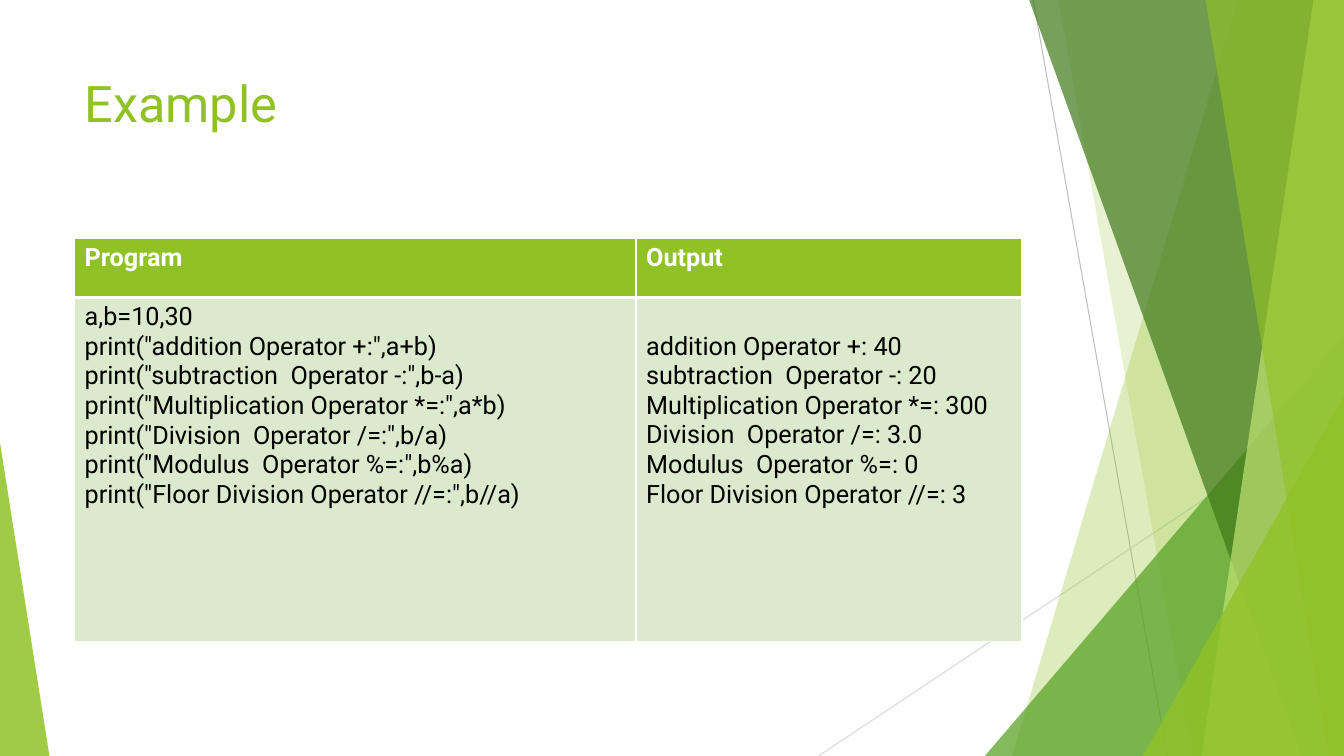
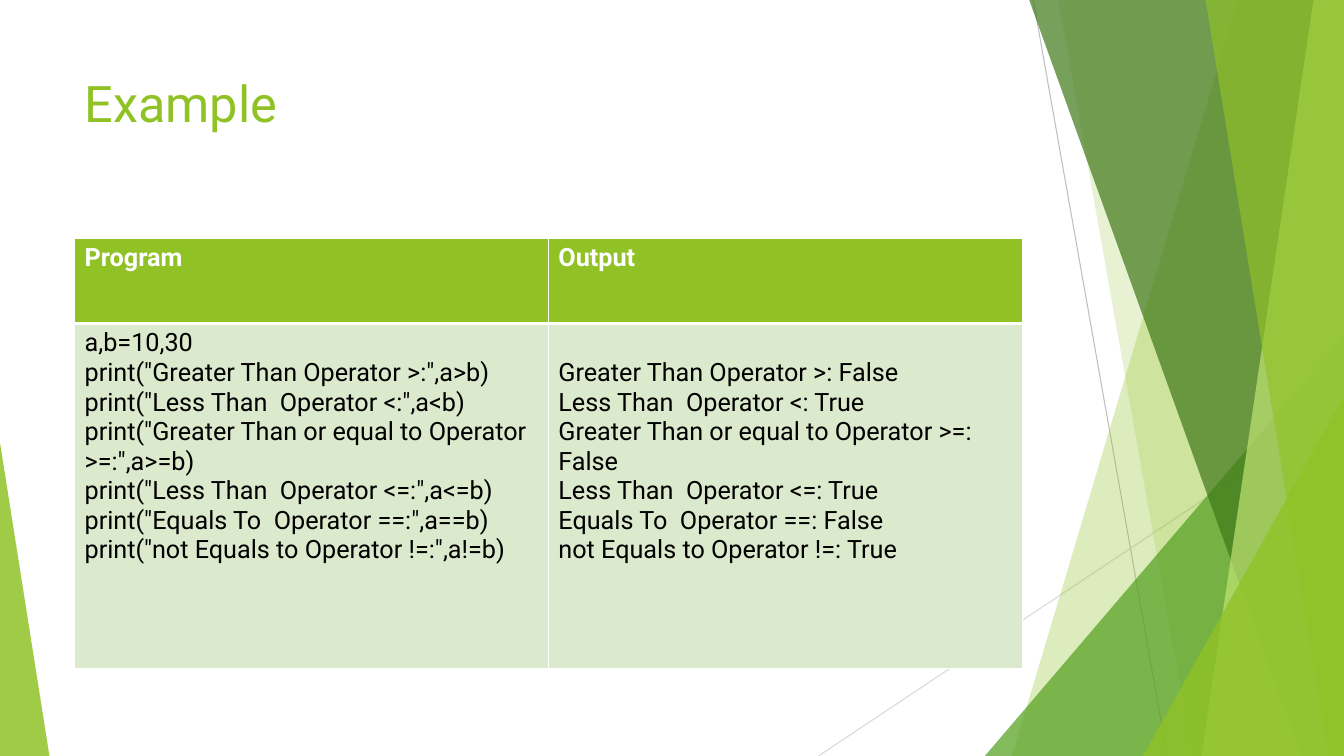
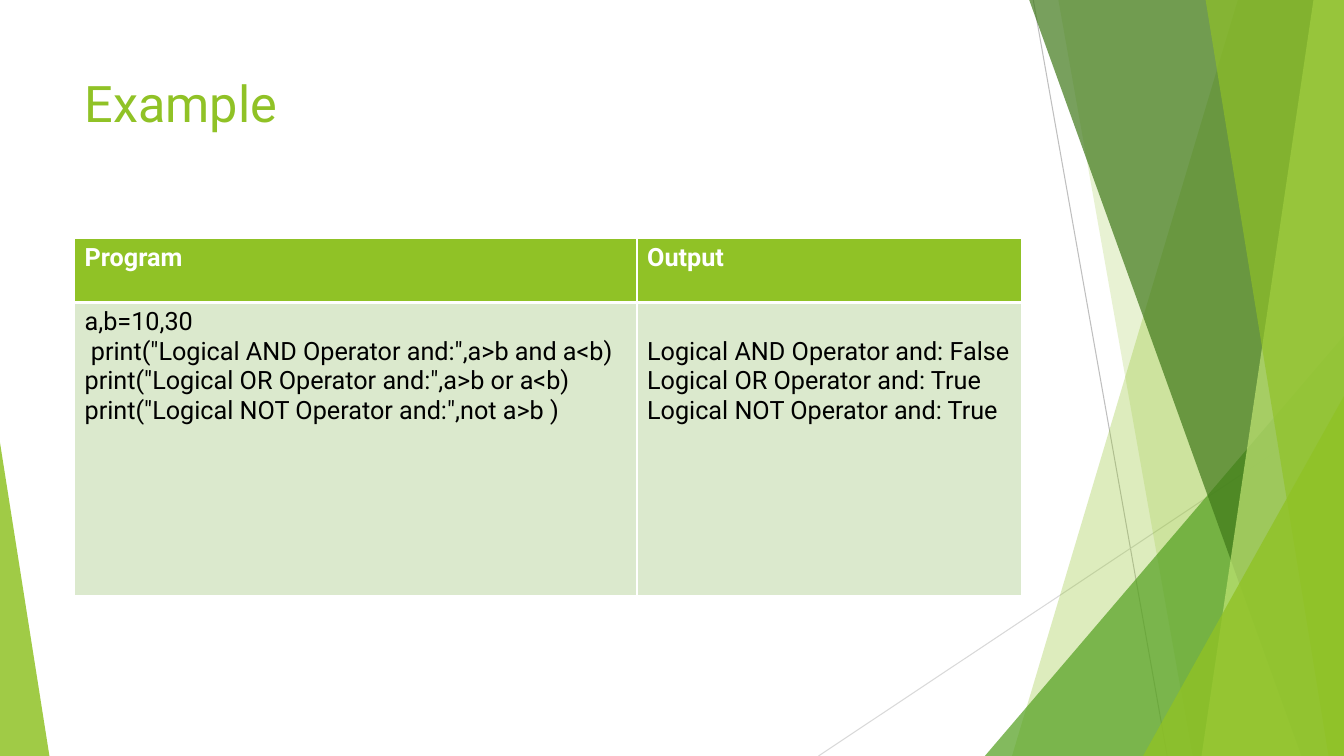
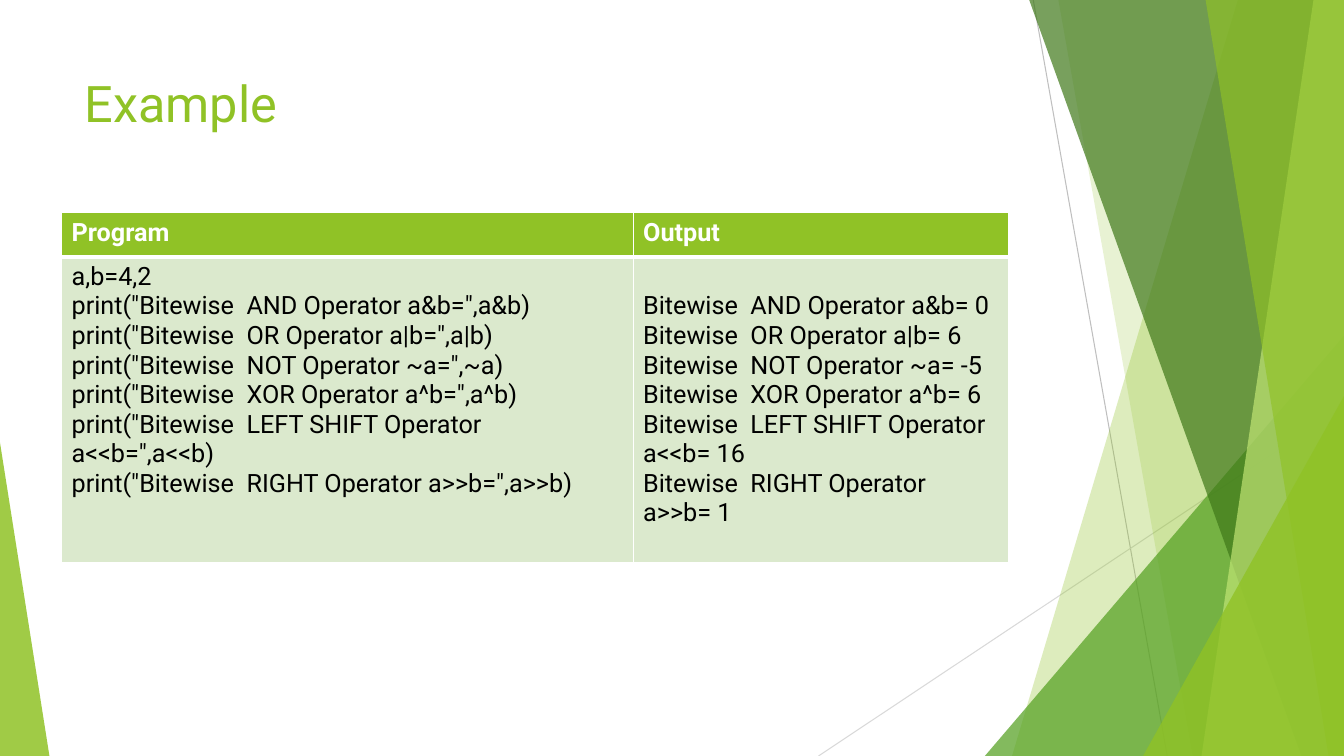
from lxml.etree import SubElement
from pptx import Presentation
from pptx.dml.color import RGBColor
from pptx.enum.shapes import MSO_CONNECTOR, MSO_SHAPE
from pptx.enum.text import MSO_ANCHOR, PP_ALIGN
from pptx.oxml.ns import qn
from pptx.util import Inches, Pt

W, H = Inches(13.33), Inches(7.5)
FONT = "Roboto"
GREEN, LEAF, FOREST, LIME = "90C226", "54A021", "3F7819", "C0E474"
PALE, WHITE, BLACK = "DBE9CD", "FFFFFF", "000000"
TITLE_BOX = (5.55, 8.93, 70.5, 19.2)

# Lengths are percentages of the slide's width and height.
RULES = [((76.88, 0), (86.85, 100), "BFBFBF"), ((100, 53.73), (60.9, 100), "D9D9D9")]
BACK_FACETS = [(92.1, 75.3, GREEN, 30), (78.75, 88.73, GREEN, 20)]
FRONT_FACETS = [(76.58, 96.83, FOREST, 70), (97.73, 89.4, LIME, 70), (89.7, 98.85, GREEN, 65)]

EXAMPLES = [
    {"at": (5.55, 31.47), "split": 59.26, "rows": (7.87, 45.47),
     "program": ['a,b=10,30',
                 'print("addition Operator +:",a+b)',
                 'print("subtraction  Operator -:",b-a)',
                 'print("Multiplication Operator *=:",a*b)',
                 'print("Division  Operator /=:",b/a)',
                 'print("Modulus  Operator %=:",b%a)',
                 'print("Floor Division Operator //=:",b//a)'],
     "output": ['addition Operator +: 40',
                'subtraction  Operator -: 20',
                'Multiplication Operator *=: 300',
                'Division  Operator /=: 3.0',
                'Modulus  Operator %=: 0',
                'Floor Division Operator //=: 3']},
    {"at": (5.55, 31.47), "split": 50, "rows": (11.33, 45.6),
     "program": ['a,b=10,30',
                 'print("Greater Than Operator >:",a>b)',
                 'print("Less Than  Operator <:",a<b)',
                 'print("Greater Than or equal to Operator >=:",a>=b)',
                 'print("Less Than  Operator <=:",a<=b)',
                 'print("Equals To  Operator ==:",a==b)',
                 'print("not Equals to Operator !=:",a!=b)'],
     "output": ['Greater Than Operator >: False',
                'Less Than  Operator <: True',
                'Greater Than or equal to Operator >=: False',
                'Less Than  Operator <=: True',
                'Equals To  Operator ==: False',
                'not Equals to Operator !=: True']},
    {"at": (5.55, 31.47), "split": 59.36, "rows": (8.53, 38.8),
     "program": ['a,b=10,30',
                 ' print("Logical AND Operator and:",a>b and a<b)',
                 'print("Logical OR Operator and:",a>b or a<b)',
                 'print("Logical NOT Operator and:",not a>b )'],
     "output": ['Logical AND Operator and: False',
                'Logical OR Operator and: True',
                'Logical NOT Operator and: True']},
    {"at": (4.58, 28.13), "split": 60.32, "rows": (5.87, 40.4),
     "program": ['a,b=4,2',
                 'print("Bitewise  AND Operator a&b=",a&b)',
                 'print("Bitewise  OR Operator a|b=",a|b)',
                 'print("Bitewise  NOT Operator ~a=",~a)',
                 'print("Bitewise  XOR Operator a^b=",a^b)',
                 'print("Bitewise  LEFT SHIFT Operator a<<b=",a<<b)',
                 'print("Bitewise  RIGHT Operator a>>b=",a>>b)'],
     "output": ['Bitewise  AND Operator a&b= 0',
                'Bitewise  OR Operator a|b= 6',
                'Bitewise  NOT Operator ~a= -5',
                'Bitewise  XOR Operator a^b= 6',
                'Bitewise  LEFT SHIFT Operator a<<b= 16',
                'Bitewise  RIGHT Operator a>>b= 1']},
]


def px(share):
    """Turn a percentage of the slide's width into a length."""
    return round(W * share / 100)


def py(share):
    """Turn a percentage of the slide's height into a length."""
    return round(H * share / 100)


def rgb(value):
    """Turn a hex string into a colour."""
    return RGBColor.from_string(value)


def paint(sp, color, alpha):
    """Give a shape a translucent fill without line or shadow."""
    sp.shadow.inherit = False
    sp.line.fill.background()
    sp.fill.solid()
    sp.fill.fore_color.rgb = rgb(color)
    clr = sp.element.spPr.find(qn("a:solidFill")).find(qn("a:srgbClr"))
    SubElement(clr, qn("a:alpha")).set("val", str(alpha * 1000))


def add_rule(shapes, start, end, color):
    """Draw a thin straight line between two points."""
    line = shapes.add_connector(MSO_CONNECTOR.STRAIGHT, px(start[0]), py(start[1]),
                                px(end[0]), py(end[1]))
    line.line.color.rgb = rgb(color)
    line.line.width = Pt(0.75)
    SubElement(line.element.spPr, qn("a:effectLst"))


def add_facet(shapes, top, bottom, color, alpha):
    """Draw a full-height facet from a slanted edge to the right side."""
    builder = shapes.build_freeform(px(top), 0)
    builder.add_line_segments([(W, 0), (W, H), (px(bottom), H)], close=True)
    paint(builder.convert_to_shape(), color, alpha)


def add_corner(shapes, left, top, right, apex, color, alpha):
    """Draw a right triangle that stands on the slide's bottom edge."""
    sp = shapes.add_shape(MSO_SHAPE.ISOSCELES_TRIANGLE, px(left), py(top),
                          px(right - left), py(100 - top))
    sp.adjustments[0] = apex
    paint(sp, color, alpha)


def add_facets(slide, layout):
    """Draw the facet group and hand it to the layout, behind its placeholders."""
    group = slide.shapes.add_group_shape()
    shapes = group.shapes
    for rule in RULES:
        add_rule(shapes, *rule)
    for facet in BACK_FACETS:
        add_facet(shapes, *facet)
    add_corner(shapes, 73.28, 44.4, 100, 1, LEAF, 72)
    for facet in FRONT_FACETS:
        add_facet(shapes, *facet)
    add_corner(shapes, 85.05, 52.4, 100, 1, GREEN, 80)
    add_corner(shapes, 0, 58.53, 3.68, 0, GREEN, 85)
    tree = layout.shapes.element
    tree.insert(2, group.element)
    for number, props in enumerate(tree.iter(qn("p:cNvPr")), 1):
        props.set("id", str(number))


def place_title(layout):
    """Place the layout's title, which the slides inherit."""
    title = next(ph for ph in layout.placeholders if ph.placeholder_format.idx == 0)
    x, y, w, h = TITLE_BOX
    title.left, title.top, title.width, title.height = px(x), py(y), px(w), py(h)


def style_text(tf, lines, size, color, bold=False):
    """Write lines as left-aligned paragraphs."""
    tf.text = "\n".join(lines)
    for p in tf.paragraphs:
        p.alignment = PP_ALIGN.LEFT
        p.font.name, p.font.size, p.font.bold = FONT, Pt(size), bold
        p.font.color.rgb = rgb(color)


def fill_cell(cell, lines, fill, color, bold, top, bottom):
    """Set a cell's borders, fill and text."""
    tc_pr = cell._tc.get_or_add_tcPr()
    for side, width in (("L", 1), ("R", 1), ("T", top), ("B", bottom)):
        ln = SubElement(tc_pr, qn("a:ln" + side), w=str(Pt(width)))
        SubElement(SubElement(ln, qn("a:solidFill")), qn("a:srgbClr"), val=WHITE)
    cell.fill.solid()
    cell.fill.fore_color.rgb = rgb(fill)
    style_text(cell.text_frame, lines, 18, color, bold)


def add_example_table(slide, at, split, rows, program, output):
    """Add the table of a program and what it prints."""
    width = TITLE_BOX[2]
    table = slide.shapes.add_table(2, 2, px(at[0]), py(at[1]), px(width), py(sum(rows))).table
    for column, share in zip(table.columns, (split, 100 - split)):
        column.width = px(width * share / 100)
    for row, share in zip(table.rows, rows):
        row.height = py(share)
    for i, (head, lines) in enumerate((("Program", program), ("Output", output))):
        fill_cell(table.cell(0, i), [head], GREEN, WHITE, True, 1, 3)
        fill_cell(table.cell(1, i), lines, PALE, BLACK, False, 3, 1)
    table.cell(1, 1).margin_top = Inches(0.05) + Pt(21.1)


def add_example(prs, layout, example):
    """Add one slide with a title and an example table."""
    slide = prs.slides.add_slide(layout)
    tf = slide.shapes.title.text_frame
    tf.vertical_anchor = MSO_ANCHOR.TOP
    style_text(tf, ["Example"], 36, GREEN)
    add_example_table(slide, **example)
    return slide


def main():
    """Build the presentation."""
    prs = Presentation()
    prs.slide_width, prs.slide_height = W, H
    layout = prs.slide_layouts[5]
    place_title(layout)
    slides = [add_example(prs, layout, example) for example in EXAMPLES]
    add_facets(slides[0], layout)
    prs.save("out.pptx")


if __name__ == "__main__":
    main()
